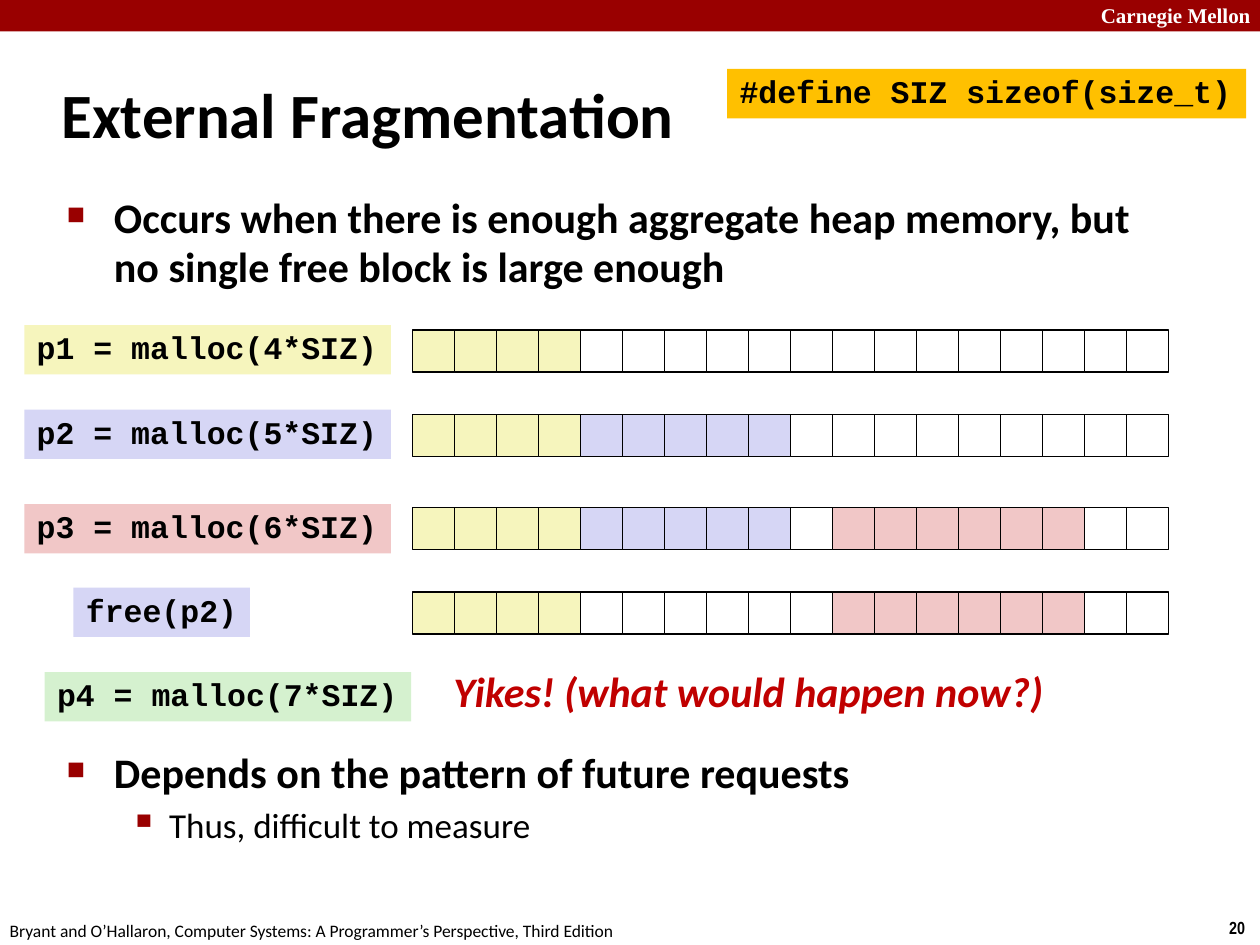
from lxml import etree
from pptx import Presentation
from pptx.dml.color import RGBColor
from pptx.enum.shapes import MSO_SHAPE as Shape
from pptx.enum.text import MSO_ANCHOR as Anchor
from pptx.oxml.ns import qn
from pptx.util import Pt

BLACK = RGBColor(0x00, 0x00, 0x00)
WHITE = RGBColor(0xFF, 0xFF, 0xFF)
MAROON = RGBColor(0x99, 0x00, 0x00)
RED = RGBColor(0xC0, 0x00, 0x00)
ORANGE = RGBColor(0xFF, 0xC0, 0x00)
YELLOW = RGBColor(0xF6, 0xF5, 0xBD)
BLUE = RGBColor(0xD6, 0xD6, 0xF5)
PINK = RGBColor(0xF1, 0xC7, 0xC7)
GREEN = RGBColor(0xD5, 0xF1, 0xCF)

HEADER = dict(name="Times New Roman", size=Pt(12), bold=True, color=WHITE)
NUMBER = dict(name="Arial Narrow", size=Pt(10), bold=True, color=BLACK)
FOOTER = dict(name="Calibri", size=Pt(10), color=BLACK)
TITLE = dict(name="Calibri", size=Pt(36), bold=True, color=BLACK)
POINT = dict(name="Calibri", size=Pt(24), bold=True, color=BLACK)
DETAIL = dict(name="Calibri", size=Pt(20), bold=False, color=BLACK)
REMARK = dict(name="Calibri", size=Pt(24), bold=True, italic=True, color=RED)
CODE = dict(name="Courier New", size=Pt(18), bold=True, color=BLACK)

POINT_BULLET = dict(char="■", percent=60, left=27, hang=27)
DETAIL_BULLET = dict(char="▪", percent=110, left=58.5, hang=22.5)

CELL = 24
HEAP_LEFT = 235.7
CODE_LEFT = 13.9
CODE_WIDTH = 209.5
CODE_HEIGHT = 28.2

HEAP_STEPS = [
    ("p1 = malloc(4*SIZ)", CODE_LEFT, CODE_WIDTH, 185.8, YELLOW,
     188.6, [(4, YELLOW), (14, WHITE)]),
    ("p2 = malloc(5*SIZ)", CODE_LEFT, CODE_WIDTH, 234, BLUE,
     236.9, [(4, YELLOW), (5, BLUE), (9, WHITE)]),
    ("p3 = malloc(6*SIZ)", CODE_LEFT, CODE_WIDTH, 288, PINK,
     290, [(4, YELLOW), (5, BLUE), (1, WHITE), (6, PINK), (2, WHITE)]),
    ("free(p2)", 42, 100.8, 335.8, BLUE,
     338.4, [(4, YELLOW), (6, WHITE), (6, PINK), (2, WHITE)]),
]


def style_font(font, style):
    for key, value in style.items():
        if key == "color":
            font.color.rgb = value
        else:
            setattr(font, key, value)


def write(para, text, style):
    span = para.add_run()
    span.text = text
    style_font(span.font, style)


def add_rect(shapes, left, top, width, height, fill, line=None):
    rect = shapes.add_shape(Shape.RECTANGLE, Pt(left), Pt(top), Pt(width), Pt(height))
    rect.shadow.inherit = False
    rect.fill.solid()
    rect.fill.fore_color.rgb = fill
    if line is None:
        rect.line.fill.background()
    else:
        rect.line.color.rgb = line
        rect.line.width = Pt(1)
    return rect


def add_text(page, left, top, width, height, text, style, wrap=False, anchor=Anchor.TOP):
    box = page.shapes.add_textbox(Pt(left), Pt(top), Pt(width), Pt(height))
    frame = box.text_frame
    frame.word_wrap = wrap
    frame.vertical_anchor = anchor
    write(frame.paragraphs[0], text, style)


def add_code(page, left, top, width, text, fill):
    frame = add_rect(page.shapes, left, top, width, CODE_HEIGHT, fill).text_frame
    frame.word_wrap = False
    frame.vertical_anchor = Anchor.TOP
    para = frame.paragraphs[0]
    para.alignment = 1
    para.line_spacing = 0.94
    write(para, text, CODE)


def set_bullet(para, char, percent, left, hang):
    props = para._p.get_or_add_pPr()
    props.set("marL", str(Pt(left)))
    props.set("indent", str(-Pt(hang)))
    color = etree.SubElement(props, qn("a:buClr"))
    etree.SubElement(color, qn("a:srgbClr"), val=str(MAROON))
    etree.SubElement(props, qn("a:buSzPct"), val=str(percent * 1000))
    etree.SubElement(props, qn("a:buChar"), char=char)


def add_bullets(page, top, height, items):
    box = page.shapes.add_textbox(Pt(31), Pt(top), Pt(622), Pt(height))
    frame = box.text_frame
    frame.word_wrap = True
    for index, (text, style, bullet) in enumerate(items):
        para = frame.add_paragraph() if index else frame.paragraphs[0]
        set_bullet(para, **bullet)
        para.line_spacing = 0.98
        if index:
            para.space_before = Pt(style["size"].pt * 0.2)
        write(para, text, style)


def add_heap(page, top, runs):
    heap = page.shapes.add_group_shape()
    fills = [fill for count, fill in runs for _ in range(count)]
    for index, fill in enumerate(fills):
        add_rect(heap.shapes, HEAP_LEFT + index * CELL, top, CELL, CELL, fill, BLACK)


def main():
    deck = Presentation()
    deck.slide_width, deck.slide_height = Pt(720), Pt(540)
    page = deck.slides.add_slide(deck.slide_layouts[6])

    add_rect(page.shapes, 0, 0, 720, 18, MAROON)
    add_text(page, 622, -2, 103, 21.8, "Carnegie Mellon", HEADER, wrap=True)
    add_text(page, 695.3, 520.6, 24.7, 19.4, "20", NUMBER)
    add_text(page, -1.5, 522, 366, 19.4,
             "Bryant and O’Hallaron, Computer Systems: "
             "A Programmer’s Perspective, Third Edition", FOOTER)

    add_text(page, 28, 34.5, 598, 60, "External Fragmentation", TITLE,
             wrap=True, anchor=Anchor.MIDDLE)
    add_code(page, 415.5, 39.4, 296.6, "#define SIZ sizeof(size_t)", ORANGE)
    add_bullets(page, 107.3, 66, [
        ("Occurs when there is enough aggregate heap memory, "
         "but no single free block is large enough", POINT, POINT_BULLET)])

    for text, left, width, top, fill, heap_top, runs in HEAP_STEPS:
        add_code(page, left, top, width, text, fill)
        add_heap(page, heap_top, runs)

    add_code(page, 25.5, 384, CODE_WIDTH, "p4 = malloc(7*SIZ)", GREEN)
    add_text(page, 252, 376.5, 354, 36, "Yikes! (what would happen now?)", REMARK)
    add_bullets(page, 424.5, 66, [
        ("Depends on the pattern of future requests", POINT, POINT_BULLET),
        ("Thus, difficult to measure", DETAIL, DETAIL_BULLET)])

    deck.save("out.pptx")


if __name__ == "__main__":
    main()
